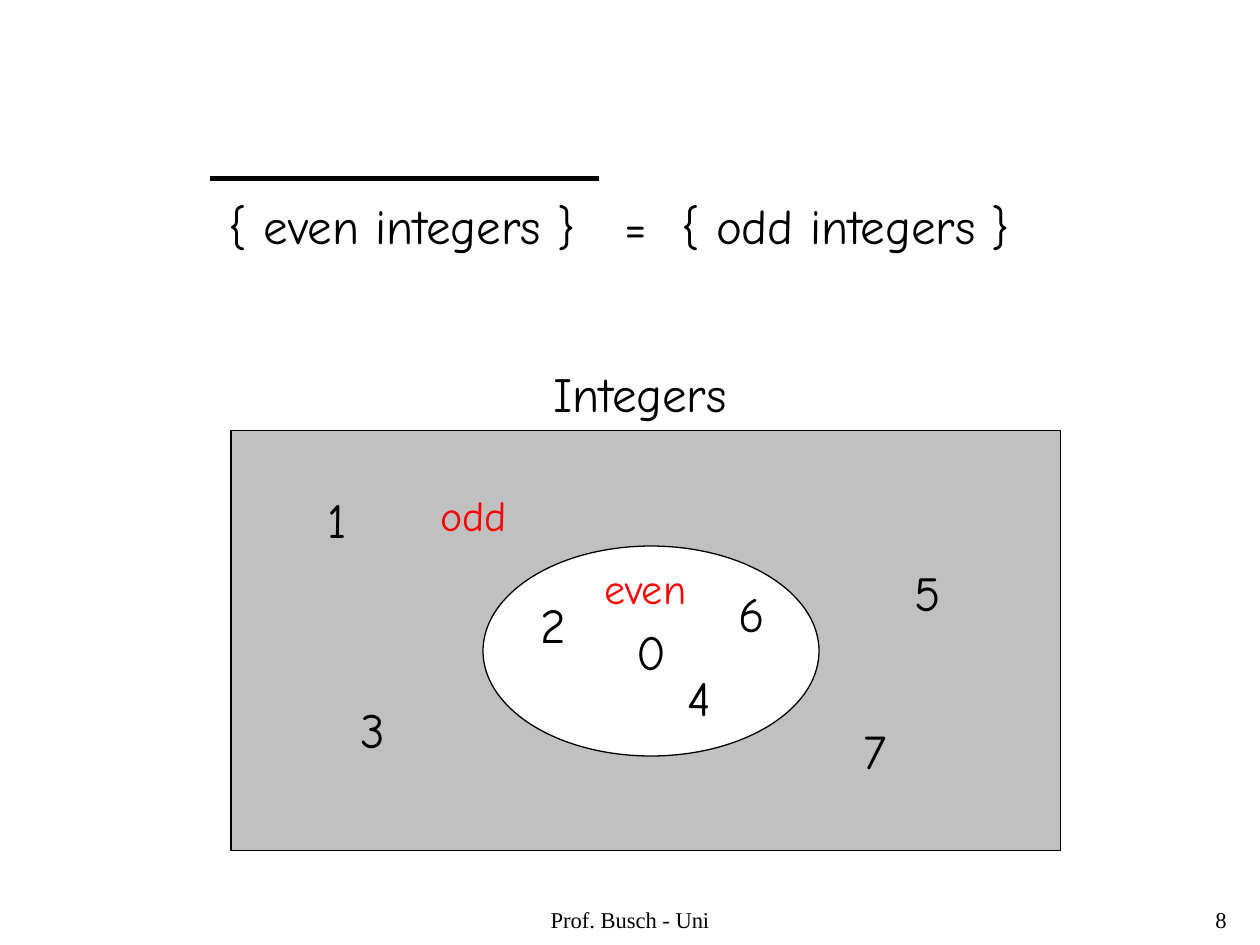
from lxml import etree
from pptx import Presentation
from pptx.dml.color import RGBColor
from pptx.enum.shapes import MSO_CONNECTOR, MSO_SHAPE
from pptx.enum.text import MSO_ANCHOR, MSO_AUTO_SIZE, PP_ALIGN
from pptx.oxml.ns import qn
from pptx.util import Inches, Pt

BLACK = RGBColor(0x00, 0x00, 0x00)
WHITE = RGBColor(0xFF, 0xFF, 0xFF)
GRAY = RGBColor(0xC0, 0xC0, 0xC0)
RED = RGBColor(0xFF, 0x00, 0x00)
LEFT, CENTER, RIGHT = PP_ALIGN.LEFT, PP_ALIGN.CENTER, PP_ALIGN.RIGHT
TOP, MIDDLE = MSO_ANCHOR.TOP, MSO_ANCHOR.MIDDLE
FIT, FIXED = MSO_AUTO_SIZE.SHAPE_TO_FIT_TEXT, MSO_AUTO_SIZE.NONE
RECT, OVAL = MSO_SHAPE.RECTANGLE, MSO_SHAPE.OVAL
STRAIGHT = MSO_CONNECTOR.STRAIGHT

COLS, ROWS = 120, 90
BODY_FONT, FOOTER_FONT = "Comic Neue", "Times New Roman"
BIG, LABEL, SMALL = 28, 24, 12.9
BIG_H, LABEL_H, FOOTER_H = 6.8, 6, 4


class SetSlide:
    def __init__(self, prs):
        self.dx = prs.slide_width / COLS
        self.dy = prs.slide_height / ROWS
        self.s = prs.slides.add_slide(prs.slide_layouts[6])

    def box(self, x, y, w, h):
        return (round(x * self.dx), round(y * self.dy),
                round(w * self.dx), round(h * self.dy))

    def style_text(self, sp, text, size, color, font, align, anchor):
        tf = sp.text_frame
        tf.text = text
        tf.vertical_anchor = anchor
        p = tf.paragraphs[0]
        p.alignment = align
        for r in p.runs:
            r.font.size = Pt(size)
            r.font.name = font
            r.font.color.rgb = color
        return p

    def text(self, text, x, y, w, h=BIG_H, size=BIG, color=BLACK,
             align=CENTER, anchor=MIDDLE, wrap=False):
        sp = self.s.shapes.add_textbox(*self.box(x, y, w, h))
        sp.text_frame.word_wrap = wrap
        sp.text_frame.auto_size = FIT
        self.style_text(sp, text, size, color, BODY_FONT, align, anchor)
        return sp

    def equation(self, parts, x, y, w, indent, stops):
        sp = self.text("\t".join(parts), x, y, w, align=LEFT, wrap=True)
        sp.text_frame.margin_left = round(indent * self.dx)
        pPr = sp.text_frame.paragraphs[0]._p.get_or_add_pPr()
        tabs = etree.SubElement(pPr, qn("a:tabLst"))
        for stop in stops:
            etree.SubElement(tabs, qn("a:tab"),
                             pos=str(round(stop * self.dx)), algn="l")

    def footer(self, text, x, w, align):
        sp = self.s.shapes.add_textbox(*self.box(x, 86, w, FOOTER_H))
        sp.text_frame.word_wrap = True
        sp.text_frame.auto_size = FIXED
        p = self.style_text(sp, text, SMALL, BLACK, FOOTER_FONT, align, TOP)
        p.line_spacing = 0.9

    def region(self, kind, x, y, w, h, fill, text=""):
        sp = self.s.shapes.add_shape(kind, *self.box(x, y, w, h))
        sp.shadow.inherit = False
        sp.fill.solid()
        sp.fill.fore_color.rgb = fill
        sp.line.color.rgb = BLACK
        sp.line.width = Pt(0.75)
        sp.text_frame.word_wrap = False
        self.style_text(sp, text, BIG, BLACK, BODY_FONT, CENTER, MIDDLE)

    def overline(self, x, y, w):
        left, top, width, _ = self.box(x, y, w, 0)
        line = self.s.shapes.add_connector(STRAIGHT, left, top, left + width, top)
        line.line.color.rgb = BLACK
        line.line.width = Pt(3)
        etree.SubElement(line._element.spPr, qn("a:effectLst"))


def main():
    prs = Presentation()
    prs.slide_width, prs.slide_height = Inches(10), Inches(7.5)
    page = SetSlide(prs)

    page.footer("Prof. Busch - Uni", 41, 38, CENTER)
    page.footer("8", 93, 25, RIGHT)

    page.region(RECT, 22, 41, 79, 40, GRAY)
    page.region(OVAL, 46, 52, 32, 20, WHITE, "0")

    numbers = [("2", 50.3, 56), ("4", 64.3, 63), ("6", 69.2, 55),
               ("1", 30, 46), ("3", 33.2, 66), ("5", 85.9, 53), ("7", 81.1, 68)]
    for digit, x, y in numbers:
        page.text(digit, x, y, 4.8, align=LEFT, anchor=TOP)

    page.text("even", 56.3, 53, 10.3, LABEL_H, LABEL, RED)
    page.equation(["{ even integers }", "=", "{ odd integers }"],
                  13, 18, 94, 8.8, [37.7, 43.1])
    page.overline(20, 17, 37)
    page.text("odd", 40.7, 46, 8.8, LABEL_H, LABEL, RED)
    page.text("Integers", 51.4, 34, 19.1)

    prs.save("out.pptx")


if __name__ == "__main__":
    main()
